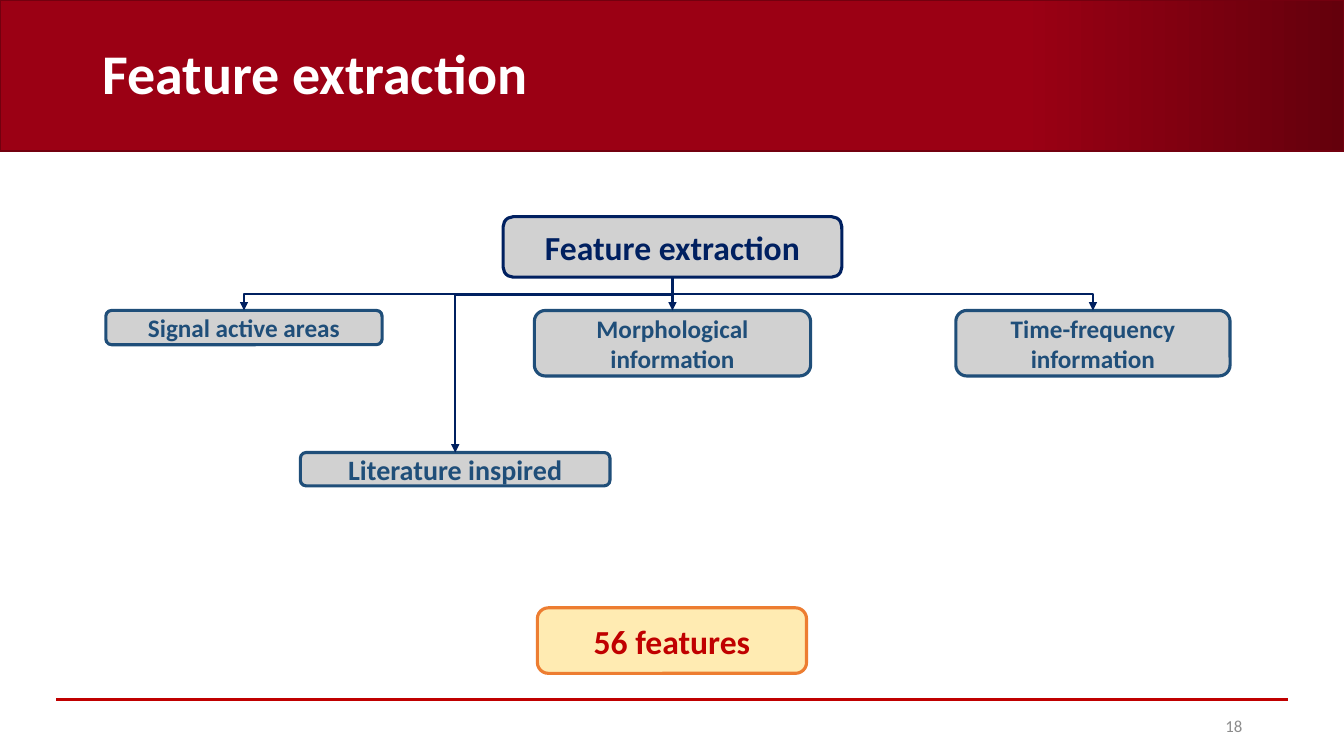
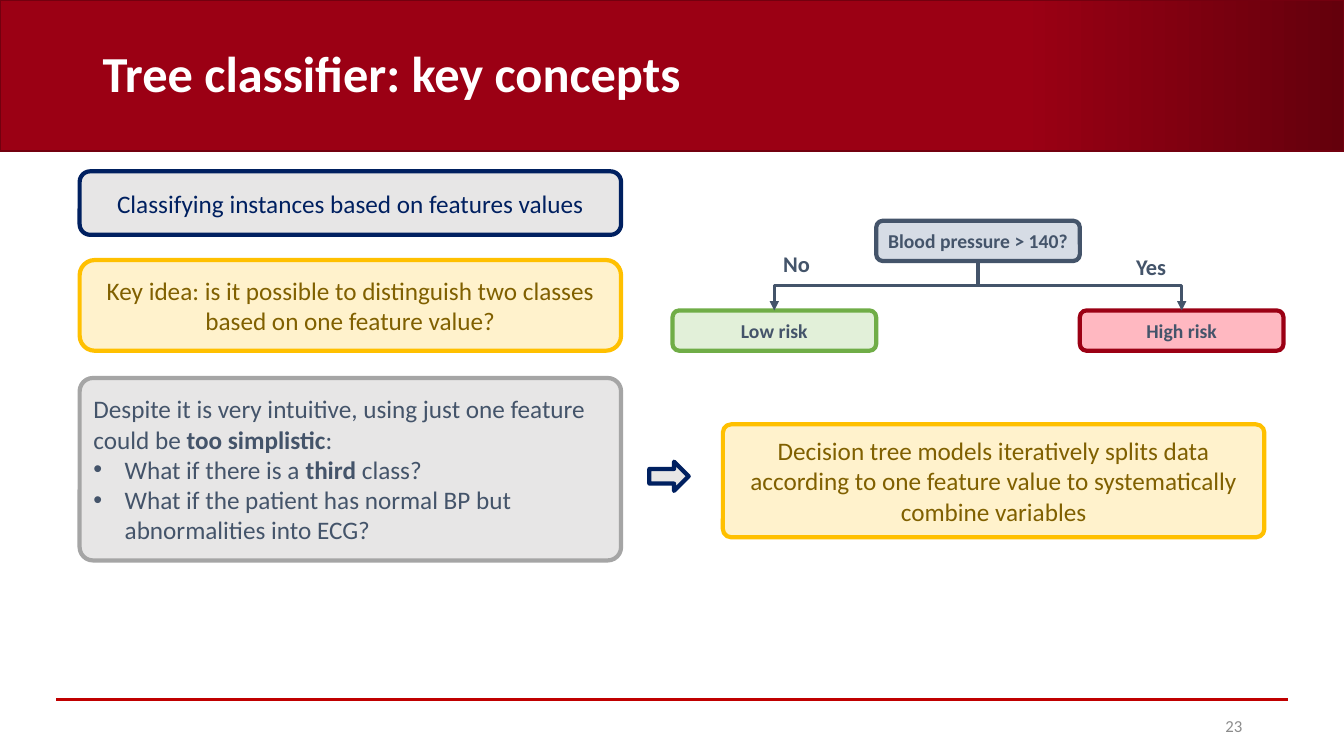
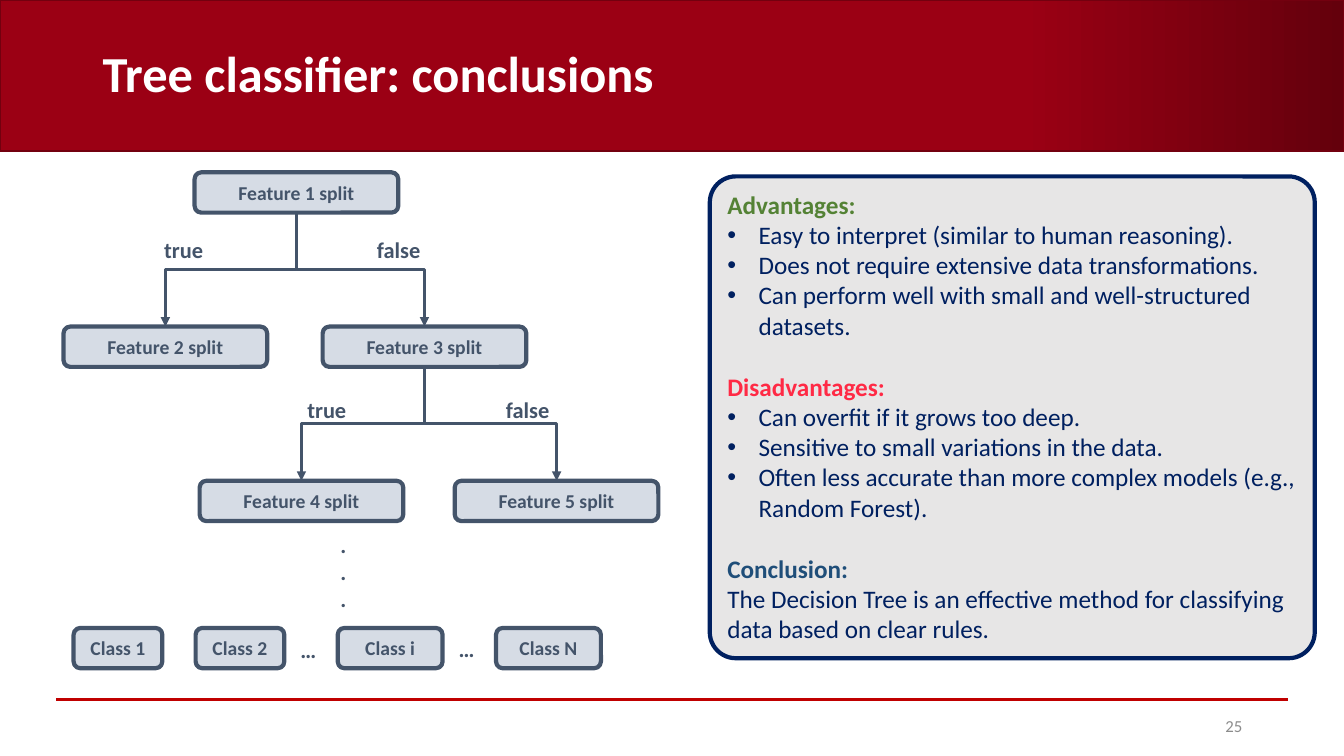
from pptx import Presentation
from pptx.util import Inches, Pt
from pptx.dml.color import RGBColor
from pptx.enum.shapes import MSO_SHAPE as Geo, MSO_CONNECTOR as Link
from pptx.enum.text import PP_ALIGN as Align, MSO_ANCHOR as Anchor
from pptx.oxml.ns import qn
from lxml.etree import SubElement as Sub

# Shared look
FONT = "Calibri"
NAVY, BLUE, SLATE, WHITE = "002060", "1F4E79", "44546A", "FFFFFF"
SILVER, PALE, GOLD, BROWN = "A5A5A5", "E7E6E6", "FFC000", "806000"
RED, CREAM, ICE = "9B0014", "FFF2CC", "D6DCE5"

# Slide 1: name, place, text size
ROOT = ("Feature extraction", (4.99, 2.15, 3.36, 0.6), 24)
GROUPS = [
    ("Signal active areas", (1.05, 3.08, 2.74, 0.34), 18),
    ("Morphological information", (5.3, 3.08, 2.74, 0.65), 18),
    ("Time-frequency information", (9.48, 3.08, 2.72, 0.65), 18),
    ("Literature inspired", (2.98, 4.49, 3.07, 0.33), 20),
]
TOTAL = ("56 features", (5.33, 6.03, 2.67, 0.65), 24)

# Slide 2: text, place, fill, line, text colour
IDEAS = [
    ("Classifying instances based on features values",
     (0.79, 1.7, 5.37, 0.63), PALE, NAVY, NAVY, {}),
    ("Key idea: is it possible to distinguish two classes based on one "
     "feature value?", (0.79, 2.58, 5.37, 0.9), CREAM, GOLD, BROWN, {}),
    (["Despite it is very intuitive, using just one feature could be "
      "*too simplistic*:",
      "• What if there is a *third* class?",
      "• What if the patient has normal BP but abnormalities into ECG?"],
     (0.79, 3.75, 5.37, 1.81), PALE, SILVER, SLATE,
     {"adj": 0.073, "align": Align.LEFT}),
    ("Decision tree models iteratively splits data according to one feature "
     "value to systematically combine variables",
     (7.17, 4.21, 5.37, 1.12), CREAM, GOLD, BROWN, {"adj": 0.073}),
]
RISKS = [("Low risk", 6.67, "E2F0D9", "70AD47"),
         ("High risk", 10.71, "FFB8C1", RED)]
ANSWERS = [("No", (7.67, 2.43, 0.54, 0.37)),
           ("Yes", (11.17, 2.46, 0.54, 0.37))]

# Slide 3: split number -> left, top; then parent -> children
SPLITS = {1: (1.93, 1.71), 2: (0.63, 3.24), 3: (3.2, 3.24),
          4: (1.98, 4.77), 5: (4.51, 4.77)}
BRANCHES = {1: (2, 3), 3: (4, 5)}
CLASSES = [("Class 1", 0.73, 0.88), ("Class 2", 1.94, 0.88),
           ("Class i", 3.35, 1.04), ("Class N", 4.92, 1.04)]
LABELS = [
    ("true", (1.53, 2.29, 0.81, 0.37)), ("false", (3.64, 2.29, 0.72, 0.37)),
    ("true", (2.95, 3.88, 0.81, 0.37)), ("false", (4.92, 3.88, 0.72, 0.37)),
    ("…", (2.88, 6.26, 0.26, 0.37)), ("…", (4.45, 6.25, 0.26, 0.37)),
]
# Heading, colour, lines
REVIEW = [
    ("Advantages:", "548235", [
        "• Easy to interpret (similar to human reasoning).",
        "• Does not require extensive data transformations.",
        "• Can perform well with small and well-structured datasets."]),
    ("Disadvantages:", "FF2A45", [
        "• Can overfit if it grows too deep.",
        "• Sensitive to small variations in the data.",
        "• Often less accurate than more complex models (e.g., Random "
        "Forest)."]),
    ("Conclusion:", BLUE, [
        "The Decision Tree is an effective method for classifying data "
        "based on clear rules."]),
]


def rgb(code):
    return RGBColor.from_string(code)


def place(spot):
    return [Inches(v) for v in spot]


def write(frame, text, size=18, color=SLATE, bold=False, align=Align.LEFT,
          anchor=Anchor.MIDDLE, space=None, side=0.1):
    """Fill a frame; "• " starts a bullet, *stars* mark bold,
    and a (text, colour) pair is a heading set off by space."""
    frame.word_wrap = True
    frame.vertical_anchor = anchor
    frame.margin_left = frame.margin_right = Inches(side)
    for i, line in enumerate([text] if isinstance(text, str) else text):
        para = frame.paragraphs[0] if i == 0 else frame.add_paragraph()
        para.alignment = align
        head = isinstance(line, tuple)
        line, tint = line if head else (line, color)
        if line.startswith("• "):
            line = line[2:]
            props = para._p.get_or_add_pPr()
            props.set("marL", str(Inches(0.31)))
            props.set("indent", str(-Inches(0.31)))
            Sub(props, qn("a:buFont")).set("typeface", "Arial")
            Sub(props, qn("a:buChar")).set("char", "•")
        if head and i and space:
            para.space_before = Pt(space)
        for n, part in enumerate(line.split("*")):
            run = para.add_run()
            run.text = part
            font = run.font
            font.name, font.size = FONT, Pt(size)
            font.bold = bold or head or n % 2 == 1
            font.color.rgb = rgb(tint)


def label(slide, text, spot, **form):
    frame = slide.shapes.add_textbox(*place(spot)).text_frame
    write(frame, text, **form)
    return frame


def box(slide, text, spot, fill, line, width=3, adj=None, alpha=None,
        geo=Geo.ROUNDED_RECTANGLE, align=Align.CENTER, **form):
    shape = slide.shapes.add_shape(geo, *place(spot))
    shape.shadow.inherit = False
    shape.fill.solid()
    shape.fill.fore_color.rgb = rgb(fill)
    if alpha:
        tone = shape._element.spPr.find(".//" + qn("a:srgbClr"))
        Sub(tone, qn("a:alpha")).set("val", str(alpha * 1000))
    shape.line.color.rgb = rgb(line)
    shape.line.width = Pt(width)
    if adj:
        shape.adjustments[0] = adj
    if text:
        write(shape.text_frame, text, align=align, **form)
    return shape


def node(slide, text, spot, fill=ICE, line=SLATE):
    return box(slide, text, spot, fill, line, size=14, bold=True, side=0.05)


def rule(slide, kind, ends, color, width):
    link = slide.shapes.add_connector(kind, *ends)
    link.line.color.rgb = rgb(color)
    link.line.width = Pt(width)
    Sub(link._element.spPr, qn("a:effectLst"))
    return link


def arrow(slide, top, low, color=SLATE, width=2.25, bend=0.5):
    """Arrow from the bottom of one box to the top of another."""
    x1, y1 = top.left + top.width // 2, top.top + top.height
    x2, y2 = low.left + low.width // 2, low.top
    gap, run = y2 - y1, abs(x2 - x1)
    straight = run < Inches(0.01)
    kind = Link.STRAIGHT if straight else Link.ELBOW
    link = rule(slide, kind, (x1, y1, x2, y2), color, width)
    link.begin_connect(top, 2)
    link.end_connect(low, 0)
    Sub(link.line._get_or_add_ln(), qn("a:tailEnd")).set("type", "triangle")
    if straight:
        return
    # An elbow that leaves downwards is a turned one
    link.left, link.top = (x1 + x2 - gap) // 2, (y1 + y2 - run) // 2
    link.width, link.height = gap, run
    props = link._element.spPr
    frame = props.find(qn("a:xfrm"))
    frame.attrib.pop("flipH", None)
    frame.set("rot", str((90 if x2 < x1 else 270) * 60000))
    if x2 > x1:
        frame.set("flipH", "1")
    guide = Sub(props.find(".//" + qn("a:avLst")), qn("a:gd"))
    guide.set("name", "adj1")
    guide.set("fmla", f"val {round(bend * 100000)}")


def page(deck, title, number, size=36):
    """New slide with band, title, footer line and number."""
    slide = deck.slides.add_slide(deck.slide_layouts[6])
    band = box(slide, "", (0, 0, 13.33, 1.5), RED, "73000F", 1,
               geo=Geo.RECTANGLE)
    band.fill.gradient()
    band.fill.gradient_angle = 0
    stops = zip(band.fill.gradient_stops, [(0.76, RED), (1, "64000C")])
    for stop, (spot, tone) in stops:
        stop.position = spot
        stop.color.rgb = rgb(tone)
    rule(slide, Link.STRAIGHT, place((0.56, 6.94, 12.77, 6.94)), "C00000", 1.5)
    frame = label(slide, title, (0.92, 0.23, 10.83, 1.06), size=size,
                  color=WHITE, bold=True)
    frame.paragraphs[0].line_spacing = 0.9
    label(slide, str(number), (9.42, 7, 3, 0.4), size=12, color="8C8C8C",
          align=Align.RIGHT)
    return slide


def features(deck):
    slide = page(deck, "Feature extraction", 18, size=40)
    look = {"width": 2.25, "alpha": 50, "bold": True}
    text, spot, size = ROOT
    root = box(slide, text, spot, SILVER, NAVY, size=size, color=NAVY, **look)
    for text, spot, size in GROUPS:
        group = box(slide, text, spot, SILVER, BLUE, size=size, color=BLUE,
                    **look)
        bend = 0.1 if spot[1] > 4 else 0.5
        arrow(slide, root, group, NAVY, 1.5, bend)
    text, spot, size = TOTAL
    box(slide, text, spot, "FFD966", "ED7D31", size=size, color="C00000",
        **look)


def concepts(deck):
    slide = page(deck, "Tree classifier: key concepts", 23)
    for text, spot, fill, line, color, form in IDEAS:
        box(slide, text, spot, fill, line, color=color, **form)
    root = node(slide, "Blood pressure > 140?", (8.69, 2.19, 2.02, 0.4))
    for text, left, fill, line in RISKS:
        risk = node(slide, text, (left, 3.08, 2.02, 0.4), fill, line)
        arrow(slide, root, risk)
    for text, spot in ANSWERS:
        label(slide, text, spot, size=16, bold=True, anchor=Anchor.TOP)
    box(slide, "", (6.44, 4.58, 0.39, 0.29), PALE, NAVY, geo=Geo.RIGHT_ARROW)


def closing(deck):
    slide = page(deck, "Tree classifier: conclusions", 25)
    # Tree
    nodes = {n: node(slide, f"Feature {n} split", (*spot, 2.02, 0.4))
             for n, spot in SPLITS.items()}
    for top, lows in BRANCHES.items():
        for low in lows:
            arrow(slide, nodes[top], nodes[low])
    for text, left, width in CLASSES:
        node(slide, text, (left, 6.23, width, 0.4))
    for text, spot in LABELS:
        label(slide, text, spot, size=16, bold=True, anchor=Anchor.TOP)
    label(slide, ["."] * 3, (3.06, 5.22, 0.69, 0.91), size=16, bold=True,
          align=Align.CENTER, anchor=Anchor.TOP)
    # Review panel
    lines = []
    for head, tint, points in REVIEW:
        lines += [(head, tint), *points]
    box(slide, lines, (7.04, 1.75, 6, 4.78), PALE, NAVY, adj=0.054,
        color=NAVY, align=Align.LEFT, anchor=Anchor.TOP, space=22)


def main():
    deck = Presentation()
    deck.slide_width, deck.slide_height = Inches(13.33), Inches(7.5)
    features(deck)
    concepts(deck)
    closing(deck)
    deck.save("out.pptx")


if __name__ == "__main__":
    main()
